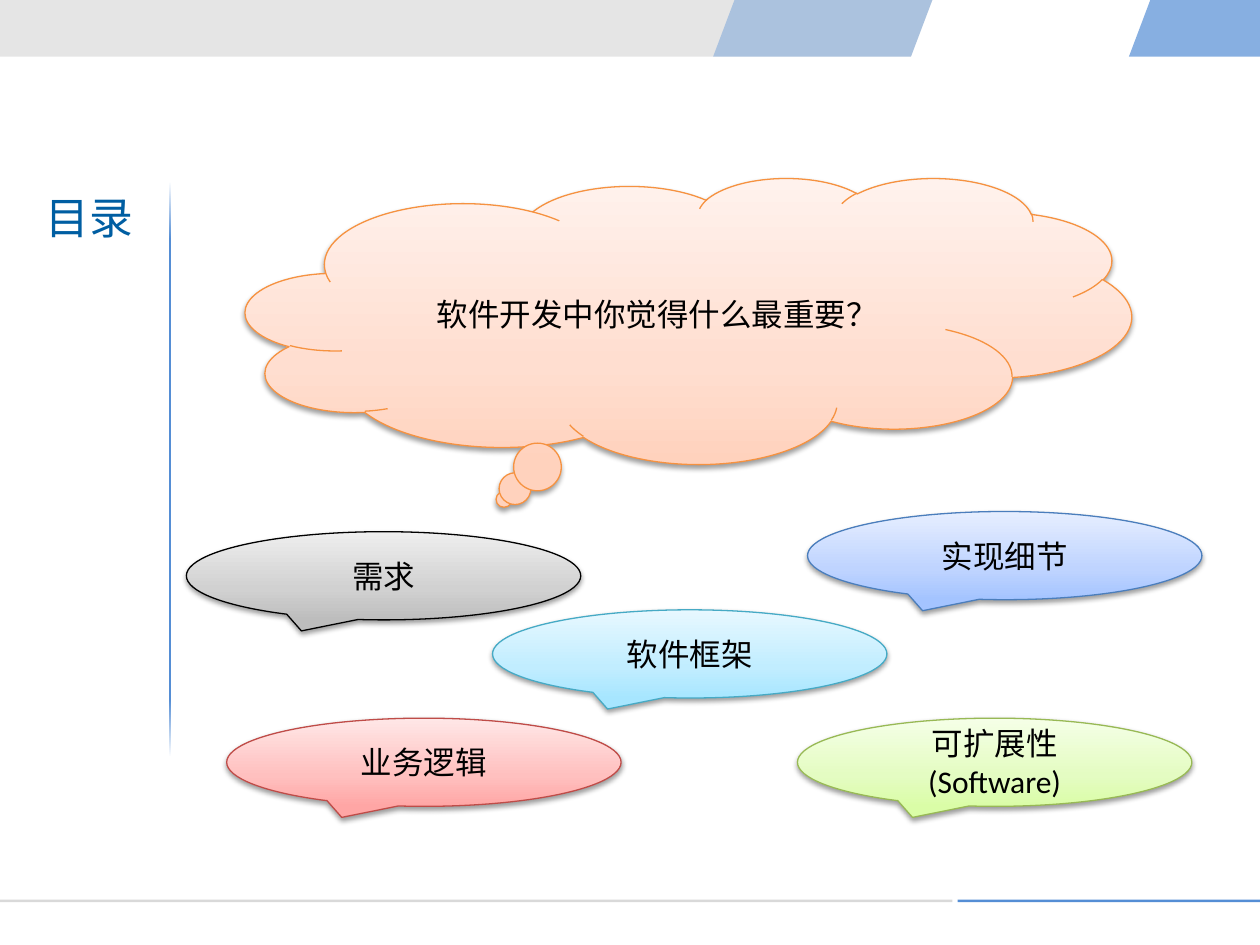
from lxml import etree
from pptx import Presentation, util as u
from pptx.dml import color
from pptx.enum import shapes, text
from pptx.oxml import ns


def rgb(value):
    return color.RGBColor.from_string(value)


def add(parent, tag, **attrs):
    values = {key: str(value) for key, value in attrs.items()}
    return etree.SubElement(parent, ns.qn(tag), values)


def set_gradient(fill, parent, stops):
    fill.gradient()
    fill.gradient_angle = 90
    stop_list = parent.find(ns.qn("a:gradFill")).find(ns.qn("a:gsLst"))
    for stop in list(stop_list):
        stop_list.remove(stop)
    for position, value in stops:
        stop = add(stop_list, "a:gs", pos=position * 1000)
        add(stop, "a:srgbClr", val=rgb(value))


class Deck:
    title_font = "Noto Sans CJK SC"
    body_font = "Calibri"
    blue = "558ED5"

    def __init__(self, width, height):
        self.prs = Presentation()
        self.prs.slide_width = u.Inches(width)
        self.prs.slide_height = u.Inches(height)
        self.s = None

    def add_slide(self):
        self.s = self.prs.slides.add_slide(self.prs.slide_layouts[5])

    def title(self, content, box, size, stops):
        sp = self.s.shapes.title
        sp.left, sp.top, sp.width, sp.height = map(u.Inches, box)
        tf = sp.text_frame
        tf.text = content
        tf.word_wrap = False
        tf.auto_size = text.MSO_AUTO_SIZE.NONE
        tf.vertical_anchor = text.MSO_ANCHOR.MIDDLE
        p = tf.paragraphs[0]
        p.alignment = text.PP_ALIGN.LEFT
        r = p.runs[0]
        r.font.size = u.Pt(size)
        r.font.name = self.title_font
        props = r.font._element
        set_gradient(r.font.fill, props, stops)
        props.find(ns.qn("a:latin")).addnext(
            etree.Element(ns.qn("a:ea"), {"typeface": self.title_font}))

    def shape(self, kind, box):
        sp = self.s.shapes.add_shape(kind, *map(u.Inches, box))
        sp.shadow.inherit = False
        sp.line.fill.background()
        return sp

    def bar(self, box, fill):
        sp = self.shape(shapes.MSO_SHAPE.RECTANGLE, box)
        if isinstance(fill, str):
            sp.fill.solid()
            sp.fill.fore_color.rgb = rgb(fill)
        else:
            set_gradient(sp.fill, sp._element.spPr, fill)

    def band(self, points, fill, opacity):
        start, *rest = [(u.Inches(x), u.Inches(y)) for x, y in points]
        builder = self.s.shapes.build_freeform(*start)
        builder.add_line_segments(rest, close=True)
        sp = builder.convert_to_shape()
        sp.shadow.inherit = False
        sp.line.fill.background()
        sp.fill.solid()
        sp.fill.fore_color.rgb = rgb(fill)
        clr = sp._element.spPr.find(ns.qn("a:solidFill"))[0]
        add(clr, "a:alpha", val=opacity * 1000)

    def callout(self, kind, box, content, shades, outline):
        sp = self.shape(kind, box)
        props = sp._element.spPr
        set_gradient(sp.fill, props, zip((0, 35, 100), shades))
        sp.line.color.rgb = rgb(outline)
        sp.line.width = u.Pt(0.75)
        shadow = add(props.find(ns.qn("a:effectLst")), "a:outerShdw",
                     blurRad=u.Pt(3.1), dist=u.Pt(1.6), dir=5400000,
                     rotWithShape=0)
        add(add(shadow, "a:srgbClr", val=rgb("000000")), "a:alpha", val=38000)
        tf = sp.text_frame
        tf.text = content
        tf.word_wrap = True
        tf.vertical_anchor = text.MSO_ANCHOR.MIDDLE
        p = tf.paragraphs[0]
        p.alignment = text.PP_ALIGN.CENTER
        r = p.runs[0]
        r.font.size = u.Pt(18)
        r.font.name = self.body_font
        r.font.color.rgb = rgb("000000")


ANSWERS = [
    ("业务逻辑", 1.8, 5.7, ("FFA6A5", "FFC0BF", "FFE7E7"), "BF4C48"),
    ("需求", 1.48, 4.22, ("BDBDBD", "D1D1D1", "EEEEEE"), "000000"),
    ("可扩展性(Software)", 6.33, 5.7, ("DAFDA7", "E4FCC2", "F5FFE7"), "98B955"),
    ("实现细节", 6.41, 4.06, ("A4C4FF", "BFD4FF", "E6EEFF"), "4B7EBC"),
    ("软件框架", 3.91, 4.84, ("A7E6FF", "C1EDFF", "E7F8FF"), "46AAC5"),
]


def main():
    deck = Deck(10, 7.5)
    deck.add_slide()

    header = 0.45
    deck.band([(9.13, 0), (10, 0), (10, header), (8.96, header)], deck.blue, 70)
    deck.band([(0, 0), (7.4, 0), (7.23, header), (0, header)], "BFBFBF", 40)
    deck.band([(5.83, 0), (7.4, 0), (7.23, header), (5.66, header)], deck.blue, 40)
    deck.bar((0, 7.14, 7.56, 0.02), "D9D9D9")
    deck.bar((7.6, 7.14, 2.4, 0.02), deck.blue)

    deck.title("目录", (0.26, 1.46, 0.9, 0.52), 25,
               [(0, "004272"), (50, "005EA2"), (100, "0070C0")])
    deck.bar((1.34, 1.44, 0.02, 4.57),
             [(0, "FFFFFF"), (10, deck.blue), (50, deck.blue),
              (90, deck.blue), (100, "FFFFFF")])

    deck.callout(shapes.MSO_SHAPE.CLOUD_CALLOUT, (1.95, 1.41, 7.03, 2.27),
                 "软件开发中你觉得什么最重要？",
                 ("FFD2BD", "FFDED0", "FFF2ED"), "F69240")
    for content, left, top, shades, outline in ANSWERS:
        deck.callout(shapes.MSO_SHAPE.OVAL_CALLOUT, (left, top, 3.13, 0.7),
                     content, shades, outline)

    deck.prs.save("out.pptx")


if __name__ == "__main__":
    main()
